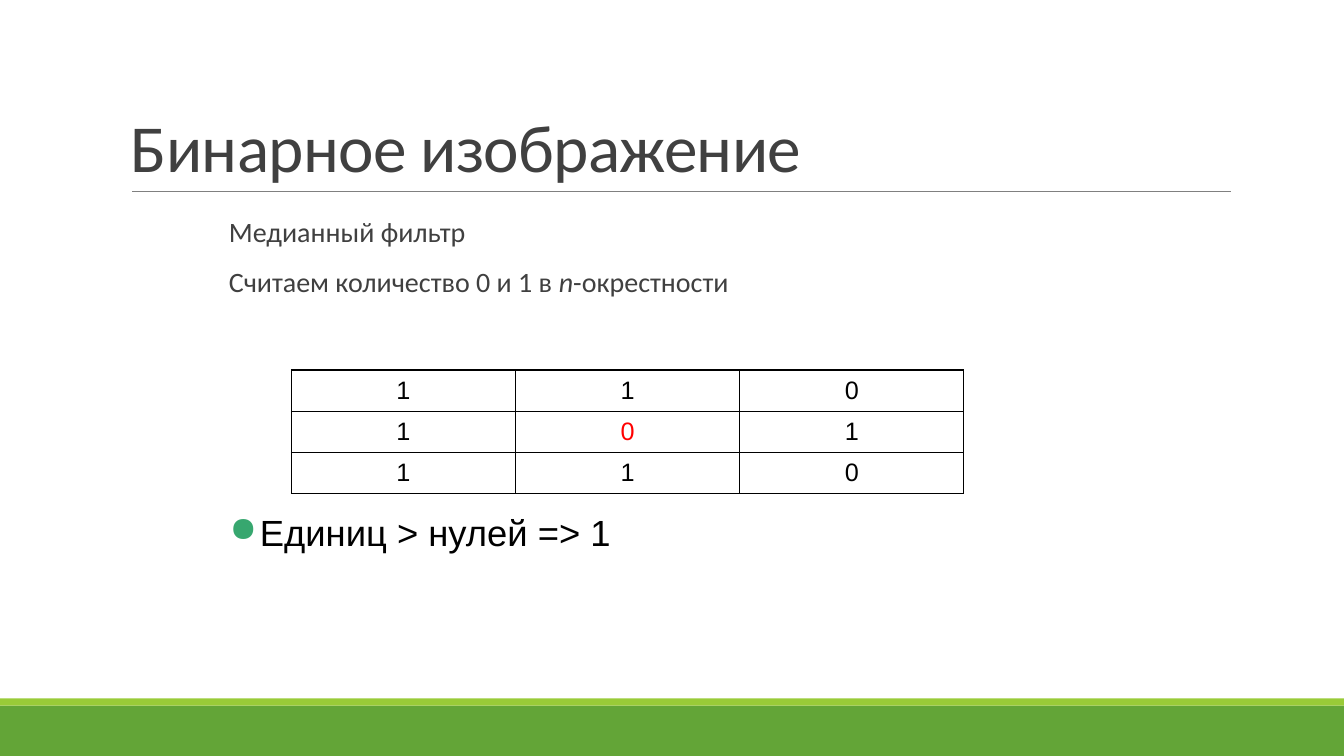
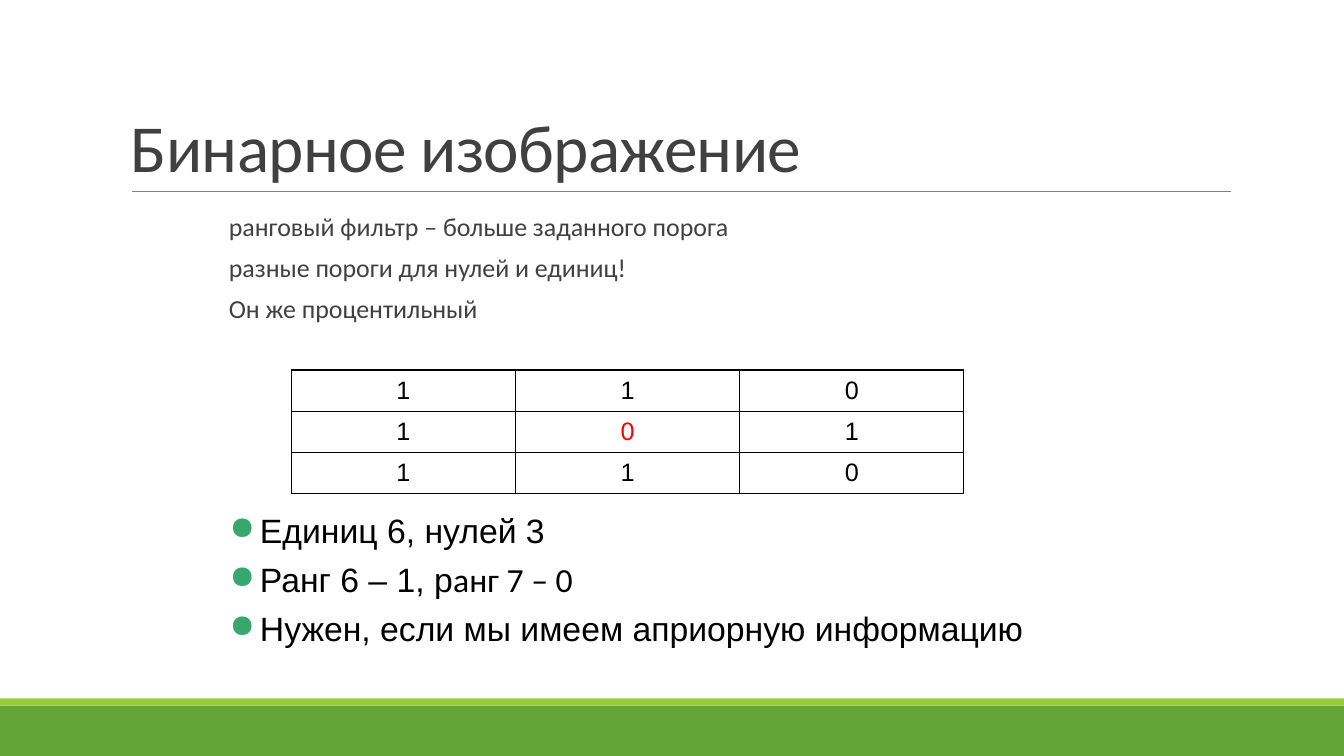
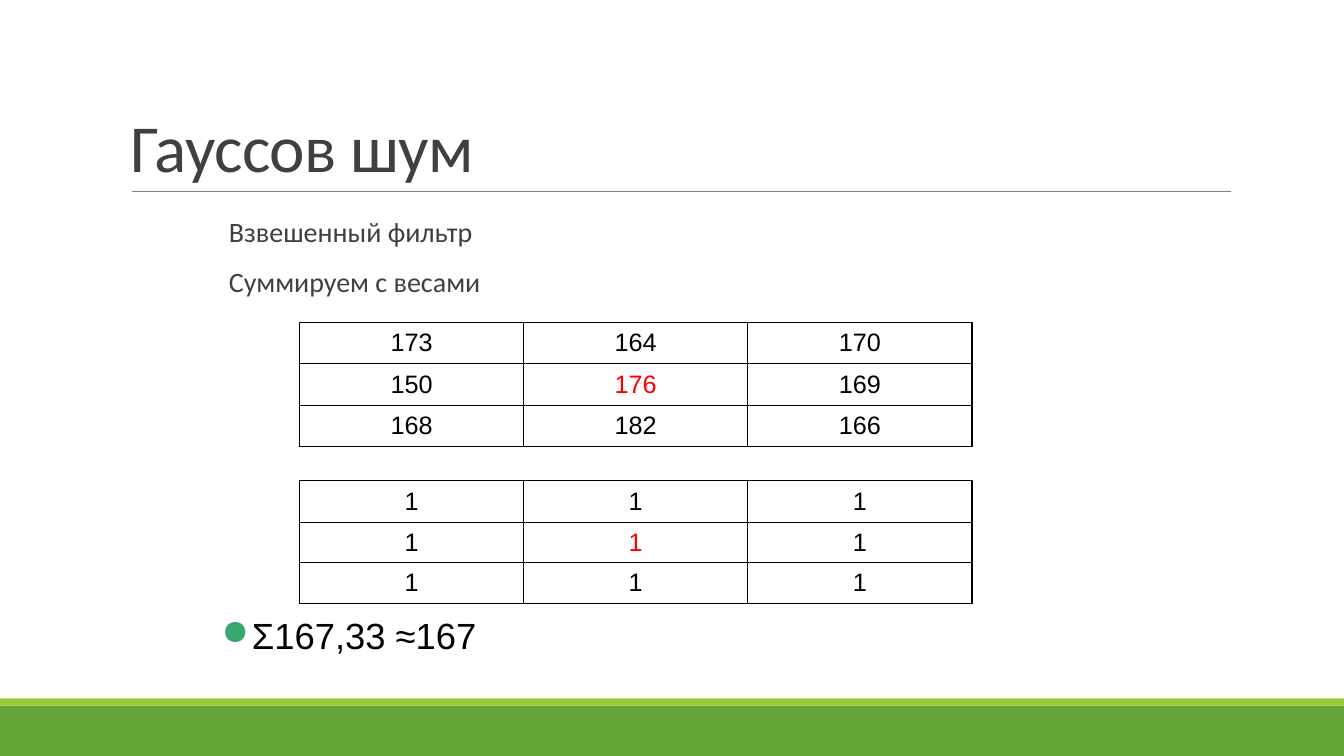
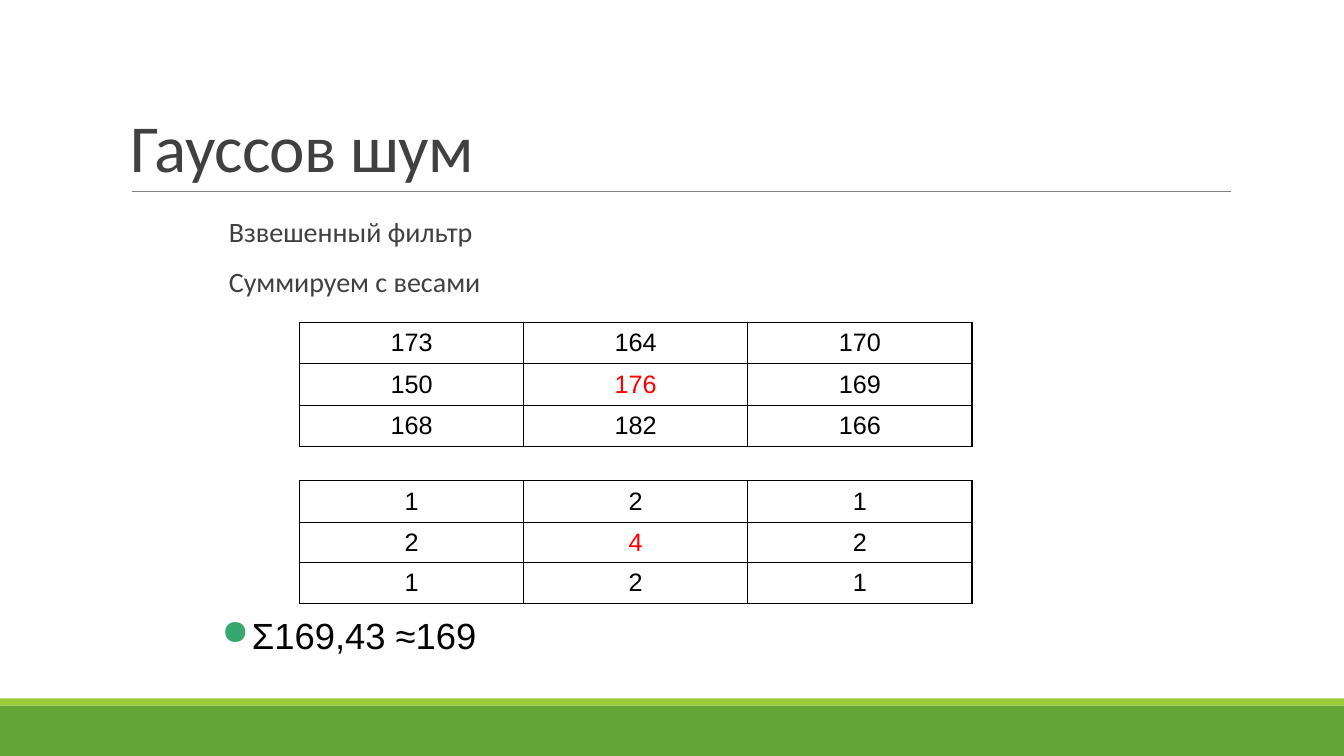
from lxml import etree
from pptx import Presentation
from pptx.dml.color import RGBColor
from pptx.enum.shapes import MSO_CONNECTOR, MSO_SHAPE
from pptx.enum.text import MSO_ANCHOR, PP_ALIGN
from pptx.oxml.ns import qn
from pptx.util import Pt

STRAIGHT = MSO_CONNECTOR.STRAIGHT
RECTANGLE = MSO_SHAPE.RECTANGLE
TOP, MIDDLE, BOTTOM = MSO_ANCHOR.TOP, MSO_ANCHOR.MIDDLE, MSO_ANCHOR.BOTTOM
CENTER = PP_ALIGN.CENTER

EMU_PER_PX = 9144  # 100 px to the inch
SLIDE_W, SLIDE_H = 1333, 750

GREEN, LIME, BULLET_GREEN = "63A537", "99CB38", "37A76F"
RULE_GREY, TEXT_GREY = "808080", "404040"
BLACK, RED = "000000", "FF0000"
HEADING_FONT, CELL_FONT = "Calibri", "Arial"

# Boxes: left, top, width, height
TITLE_BOX = (120, 31, 1100, 159)
INTRO_BOX = (217, 212, 900, 124)
BINARY_GRID_BOX = (289, 367, 667, 122)
BINARY_RESULT_BOX = (218, 501, 900, 124)
PIXEL_GRID_BOX = (297, 320, 667, 122)
WEIGHT_GRID_BOX = (297, 477, 667, 120)
GAUSS_RESULT_BOX = (210, 603, 900, 87)

BINARY_PIXELS = [[1, 1, 0], [1, 0, 1], [1, 1, 0]]
GREY_PIXELS = [[173, 164, 170], [150, 176, 169], [168, 182, 166]]


def px(*lengths):
    return [round(length * EMU_PER_PX) for length in lengths]


def color(hex_string):
    return RGBColor.from_string(hex_string)


def set_font(font, name, size, hex_color):
    font.name = name
    font.size = Pt(size)
    font.color.rgb = color(hex_color)


def add_runs(paragraph, parts):
    """A part is a string, or a string with the font settings that differ."""
    for part in [parts] if isinstance(parts, str) else parts:
        text, changes = (part, {}) if isinstance(part, str) else part
        run = paragraph.add_run()
        run.text = text
        for setting, value in changes.items():
            setattr(run.font, setting, value)


def text_paragraphs(slide, box, lines, anchor=TOP, side_inset=10):
    """Adds a text box and yields one filled paragraph for each line."""
    frame = slide.shapes.add_textbox(*px(*box)).text_frame
    frame.word_wrap = True
    frame.vertical_anchor = anchor
    frame.margin_left, frame.margin_right = px(side_inset, side_inset)
    for index, line in enumerate(lines):
        paragraph = frame.add_paragraph() if index else frame.paragraphs[0]
        add_runs(paragraph, line)
        yield paragraph


def add_bullet(paragraph, indent):
    properties = paragraph._p.get_or_add_pPr()
    margin, = px(indent)
    properties.set("marL", str(margin))
    properties.set("indent", str(-margin))
    bullet_color = etree.SubElement(properties, qn("a:buClr"))
    etree.SubElement(bullet_color, qn("a:srgbClr"), val=BULLET_GREEN)
    etree.SubElement(properties, qn("a:buSzPct"), val="95000")
    etree.SubElement(properties, qn("a:buChar"), char="●")


def add_band(slide, top, height, hex_color):
    band = slide.shapes.add_shape(RECTANGLE, *px(0, top, SLIDE_W, height))
    band.shadow.inherit = False
    band.fill.solid()
    band.fill.fore_color.rgb = color(hex_color)
    band.line.fill.background()


def add_base(prs, title):
    """New slide with footer bands, title and the rule below it."""
    slide = prs.slides.add_slide(prs.slide_layouts[6])
    add_band(slide, 700, 50, GREEN)
    add_band(slide, 693, 7, LIME)

    rule = slide.shapes.add_connector(STRAIGHT, *px(131, 190, 1221, 190))
    rule.line.color.rgb = color(RULE_GREY)
    rule.line.width = Pt(0.5)
    etree.SubElement(rule._element.spPr, qn("a:effectLst"))

    for heading in text_paragraphs(slide, TITLE_BOX, [title], BOTTOM):
        heading.line_spacing = 0.85
        set_font(heading.font, HEADING_FONT, 48, TEXT_GREY)
        heading.runs[0]._r.get_or_add_rPr().set("spc", "-50")
    return slide


def add_intro(slide, lines, size=20, line_spacing=0.9):
    for line in text_paragraphs(slide, INTRO_BOX, lines, side_inset=0):
        line._p.get_or_add_pPr().set("marL", str(px(10)[0]))
        line.line_spacing = line_spacing
        line.space_before, line.space_after = Pt(12), Pt(2)
        set_font(line.font, HEADING_FONT, size, TEXT_GREY)


def add_results(slide, box, lines, size=26):
    for line in text_paragraphs(slide, box, lines):
        add_bullet(line, 30)
        line.space_before = Pt(6)
        set_font(line.font, CELL_FONT, size, BLACK)


def add_cell_borders(cell):
    properties = cell._tc.get_or_add_tcPr()
    for index, side in enumerate(("lnL", "lnR", "lnT", "lnB")):
        border = etree.Element(qn("a:" + side), w=str(Pt(1)))
        fill = etree.SubElement(border, qn("a:solidFill"))
        etree.SubElement(fill, qn("a:srgbClr"), val=BLACK)
        properties.insert(index, border)


def add_grid(slide, box, values, row_heights=(41, 41, 41)):
    """Neighbourhood table with its central value in red."""
    row_count, column_count = len(values), len(values[0])
    grid = slide.shapes.add_table(row_count, column_count, *px(*box)).table
    grid.first_row = grid.horz_banding = False
    for column in grid.columns:
        column.width, = px(box[2] / column_count)
    for row, height in zip(grid.rows, row_heights):
        row.height, = px(height)

    center = (row_count // 2, column_count // 2)
    for r, row_values in enumerate(values):
        for c, value in enumerate(row_values):
            cell = grid.cell(r, c)
            cell.fill.background()
            cell.vertical_anchor = MIDDLE
            add_cell_borders(cell)
            number = cell.text_frame.paragraphs[0]
            add_runs(number, str(value))
            number.alignment = CENTER
            set_font(number.font, CELL_FONT, 18, RED if (r, c) == center else BLACK)


def add_binary_slide(prs, intro, results, intro_style=(20, 0.9), result_size=26):
    slide = add_base(prs, "Бинарное изображение")
    add_intro(slide, intro, *intro_style)
    add_grid(slide, BINARY_GRID_BOX, BINARY_PIXELS)
    add_results(slide, BINARY_RESULT_BOX, results, result_size)


def add_gauss_slide(prs, weights, result):
    slide = add_base(prs, "Гауссов шум")
    add_intro(slide, ["Взвешенный фильтр", "Суммируем с весами"])
    add_grid(slide, PIXEL_GRID_BOX, GREY_PIXELS)
    add_grid(slide, WEIGHT_GRID_BOX, weights, (41, 38, 41))
    add_results(slide, GAUSS_RESULT_BOX, [result])


def main():
    prs = Presentation()
    prs.slide_width, prs.slide_height = px(SLIDE_W, SLIDE_H)

    # Median filter
    add_binary_slide(
        prs,
        ["Медианный фильтр",
         ["Считаем количество 0 и 1 в ", ("n", {"italic": True}), "-окрестности"]],
        ["Единиц > нулей => 1"])

    # Rank filter
    add_binary_slide(
        prs,
        ["ранговый фильтр – больше заданного порога",
         "разные пороги для нулей и единиц!",
         "Он же процентильный"],
        ["Единиц 6, нулей 3",
         ["Ранг 6 – 1, р", ("анг 7 – 0", {"name": HEADING_FONT})],
         "Нужен, если мы имеем априорную информацию"],
        intro_style=(18.5, 0.7), result_size=24.1)

    # Weighted filters
    add_gauss_slide(prs, [[1, 1, 1]] * 3, "Σ167,33 ≈167")
    add_gauss_slide(prs, [[1, 2, 1], [2, 4, 2], [1, 2, 1]], "Σ169,43 ≈169")

    prs.save("out.pptx")


if __name__ == "__main__":
    main()
